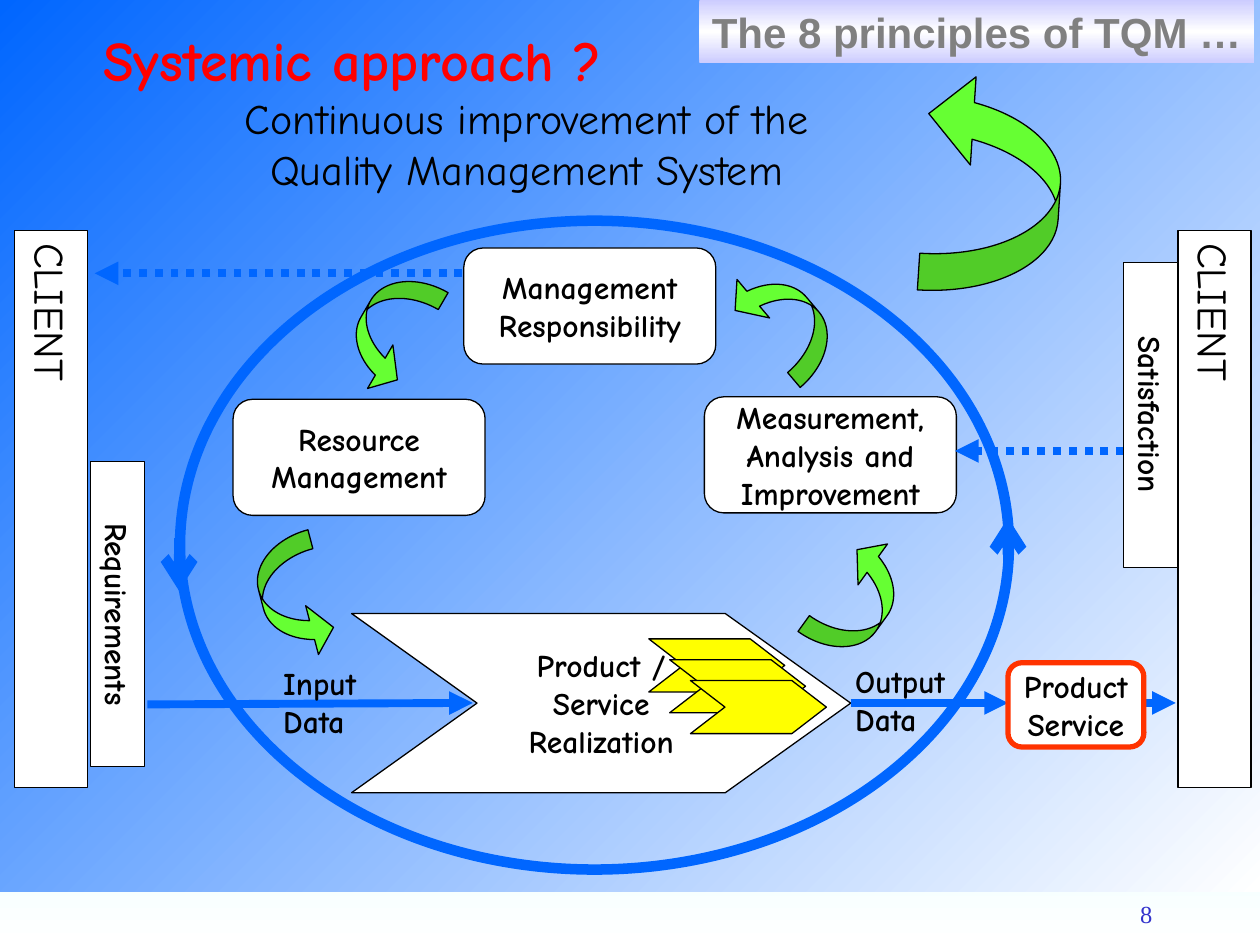
from copy import deepcopy
from dataclasses import dataclass

from lxml.etree import SubElement
from pptx import Presentation
from pptx.dml.color import RGBColor
from pptx.dml.fill import FillFormat
from pptx.enum.dml import MSO_LINE
from pptx.enum.shapes import MSO_CONNECTOR, MSO_SHAPE
from pptx.enum.text import MSO_ANCHOR, MSO_AUTO_SIZE, PP_ALIGN
from pptx.oxml.ns import qn
from pptx.shapes.autoshape import Shape
from pptx.util import Cm, Pt

BLUE, WHITE, BLACK, GREEN, YELLOW = "0066FF", "FFFFFF", "000000", "66FF33", "FFFF00"
PROCESS = MSO_SHAPE.FLOWCHART_ALTERNATE_PROCESS
RECT = MSO_SHAPE.RECTANGLE


@dataclass
class Style:
    """Look of a piece of text."""
    size: float = 18
    bold: bool = True
    color: str = BLACK
    font: str = "Comic Neue"
    align: PP_ALIGN = PP_ALIGN.CENTER
    anchor: MSO_ANCHOR = MSO_ANCHOR.MIDDLE


@dataclass
class Block:
    """A preset shape; lengths in centimetres, lines of text separated by newlines."""
    kind: MSO_SHAPE
    box: tuple[float, float, float, float]
    text: str = ""
    fill: str | None = WHITE
    line: str | None = BLACK
    width: float = 0.75
    rotation: float = 0
    adjust: tuple[float, ...] = ()
    style: Style = Style


@dataclass
class Flow:
    """A straight arrow from start to end, in centimetres."""
    start: tuple[float, float]
    end: tuple[float, float]
    width: float = 4.5
    head: str = "triangle"
    dotted: bool = False


LABEL = Style()
SIDE_LABEL = Style(24, False)
SUBTITLE = Style(24, False, anchor=MSO_ANCHOR.TOP)
DATA = Style(align=PP_ALIGN.LEFT, anchor=MSO_ANCHOR.TOP)
TITLE = Style(32, color="FF0000", anchor=MSO_ANCHOR.TOP)
HEADER = Style(24, True, "808080", "Arial", PP_ALIGN.LEFT, MSO_ANCHOR.TOP)
PAGE = Style(14, False, "3333CC", "Times New Roman")


def rgb(color: str) -> RGBColor:
    """Turn a hex string into a colour."""
    return RGBColor.from_string(color)


def shade(fill: FillFormat, angle: float, *colors: str) -> None:
    """Apply an evenly spaced gradient, angle counter-clockwise."""
    fill.gradient()
    fill.gradient_angle = angle
    stop_list = fill._xPr.find(qn("a:gradFill")).find(qn("a:gsLst"))
    for _ in colors[2:]:
        stop_list.append(deepcopy(stop_list[0]))
    for index, (stop, color) in enumerate(zip(fill.gradient_stops, colors)):
        stop.position = index / (len(colors) - 1)
        stop.color.rgb = rgb(color)


def write(shape: Shape, text: str, style: Style) -> None:
    """Fill a shape with one paragraph per line of text."""
    frame = shape.text_frame
    frame.word_wrap = False
    frame.auto_size = MSO_AUTO_SIZE.NONE
    frame.vertical_anchor = style.anchor
    for index, words in enumerate(text.split("\n")):
        paragraph = frame.add_paragraph() if index else frame.paragraphs[0]
        paragraph.alignment = style.align
        run = paragraph.add_run()
        run.text = words
        run.font.size = Pt(style.size)
        run.font.bold = style.bold
        run.font.name = style.font
        run.font.color.rgb = rgb(style.color)


def draw_block(block: Block) -> Shape:
    """Draw a preset shape with its text."""
    shape = slide.shapes.add_shape(block.kind, *map(Cm, block.box))
    shape.shadow.inherit = False
    shape.rotation = block.rotation
    for index, value in enumerate(block.adjust):
        shape.adjustments[index] = value
    if block.fill:
        shape.fill.solid()
        shape.fill.fore_color.rgb = rgb(block.fill)
    else:
        shape.fill.background()
    if block.line:
        shape.line.color.rgb = rgb(block.line)
        shape.line.width = Pt(block.width)
    else:
        shape.line.fill.background()
    if block.text:
        write(shape, block.text, block.style)
    return shape


def draw_client(left: float) -> None:
    """Draw a tall client column with vertical text."""
    client = draw_block(Block(RECT, (left, 4.65, 1.47, 11.23), "CLIENT", style=SIDE_LABEL))
    client.text_frame._txBody.bodyPr.set("vert", "eaVert")


def draw_flow(flow: Flow) -> None:
    """Draw an arrow."""
    arrow = slide.shapes.add_connector(
        MSO_CONNECTOR.STRAIGHT, *map(Cm, flow.start + flow.end))
    arrow.line.color.rgb = rgb(BLUE)
    arrow.line.width = Pt(flow.width)
    if flow.dotted:
        arrow.line.dash_style = MSO_LINE.ROUND_DOT
    properties = arrow._element.spPr
    SubElement(properties.find(qn("a:ln")), qn("a:tailEnd"), type=flow.head)
    SubElement(properties, qn("a:effectLst"))


def draw_text(box: tuple[float, float, float, float], text: str, style: Style) -> None:
    """Draw free-standing text."""
    write(slide.shapes.add_textbox(*map(Cm, box)), text, style)


deck = Presentation()
deck.slide_width, deck.slide_height = Cm(25.4), Cm(19.05)
slide = deck.slides.add_slide(deck.slide_layouts[5])
shade(slide.background.fill, 270, "66FFFF", WHITE)
backdrop = draw_block(Block(RECT, (0, 0, 25.4, 17.98), line=None))
shade(backdrop.fill, 135, WHITE, BLUE)
draw_text((22.02, 18.01, 2.18, 0.81), "8", PAGE)

draw_block(Block(MSO_SHAPE.CURVED_UP_ARROW, (17.78, 2.34, 4.45, 2.74), fill=GREEN,
                 rotation=273.7, adjust=(0.27, 0.65, 0.33)))
draw_text((4.67, 1.75, 11.89, 2.29),
          "Continuous improvement of the\nQuality Management System", SUBTITLE)
draw_client(23.75)
draw_block(Block(MSO_SHAPE.CHEVRON, (7.09, 12.37, 10.06, 3.61),
                 "Product /\nService\nRealization", adjust=(0.7,), style=LABEL))

for flow in (
    Flow((2.97, 14.2), (9.53, 14.17)),
    Flow((17.15, 14.17), (20.32, 14.17)),
    Flow((23.06, 14.17), (23.7, 14.17)),
    Flow((3.61, 10.85), (3.61, 11.91), 6, "arrow"),
    Flow((20.32, 11.51), (20.32, 10.44), 6, "arrow"),
):
    draw_flow(flow)

for left, top, activity in (
    (9.35, 5, "Management\nResponsibility"),
    (14.2, 8, "Measurement,\nAnalysis and\nImprovement"),
    (4.7, 8.05, "Resource\nManagement"),
):
    draw_block(Block(PROCESS, (left, top, 5.08, 2.34), activity, style=LABEL))

for step in range(3):
    draw_block(Block(MSO_SHAPE.CHEVRON, (13.08 + 0.42 * step, 12.88 + 0.42 * step, 2.74, 1.07),
                     fill=YELLOW, adjust=(0.65,)))

draw_text((5.46, 13.26, 1.98, 1.78), "Input\nData", DATA)
draw_block(Block(PROCESS, (20.32, 13.36, 2.74, 1.7), "Product\nService",
                 line="FF3300", width=3, style=LABEL))
draw_text((16.99, 13.23, 2.31, 1.78), "Output\nData", DATA)

for left, top, turn in (
    (7.21, 5.41, 30.2), (5.28, 10.8, 345.3), (16.71, 10.8, 215.8), (15.16, 5.16, 139.8),
):
    draw_block(Block(MSO_SHAPE.CURVED_RIGHT_ARROW, (left, top, 1.27, 2.54), fill=GREEN,
                     rotation=turn, adjust=(0.31, 0.8, 0.34)))

draw_flow(Flow((22.66, 9.09), (19.25, 9.09), dotted=True))
draw_flow(Flow((9.32, 5.51), (1.91, 5.51), dotted=True))
for left, top, exchange in ((-0.71, 11.84, "Requirements"), (20.12, 7.82, "Satisfaction")):
    draw_block(Block(RECT, (left, top, 6.15, 1.09), exchange, rotation=90, style=LABEL))
draw_block(Block(MSO_SHAPE.OVAL, (3.63, 4.45, 16.71, 13.08), fill=None, line=BLUE, width=6))
draw_client(0.3)

title = slide.shapes.title
title.left, title.top, title.width, title.height = map(Cm, (1.8, 0.38, 10.62, 1.63))
write(title, "Systemic approach ?", TITLE)
slide.shapes._spTree.append(title._element)
header = draw_block(Block(RECT, (14.1, 0, 11.18, 1.27), "The 8 principles of TQM …",
                          line=None, style=HEADER))
shade(header.fill, 270, "CCCCFF", WHITE, "CCCCFF")

deck.save("out.pptx")
